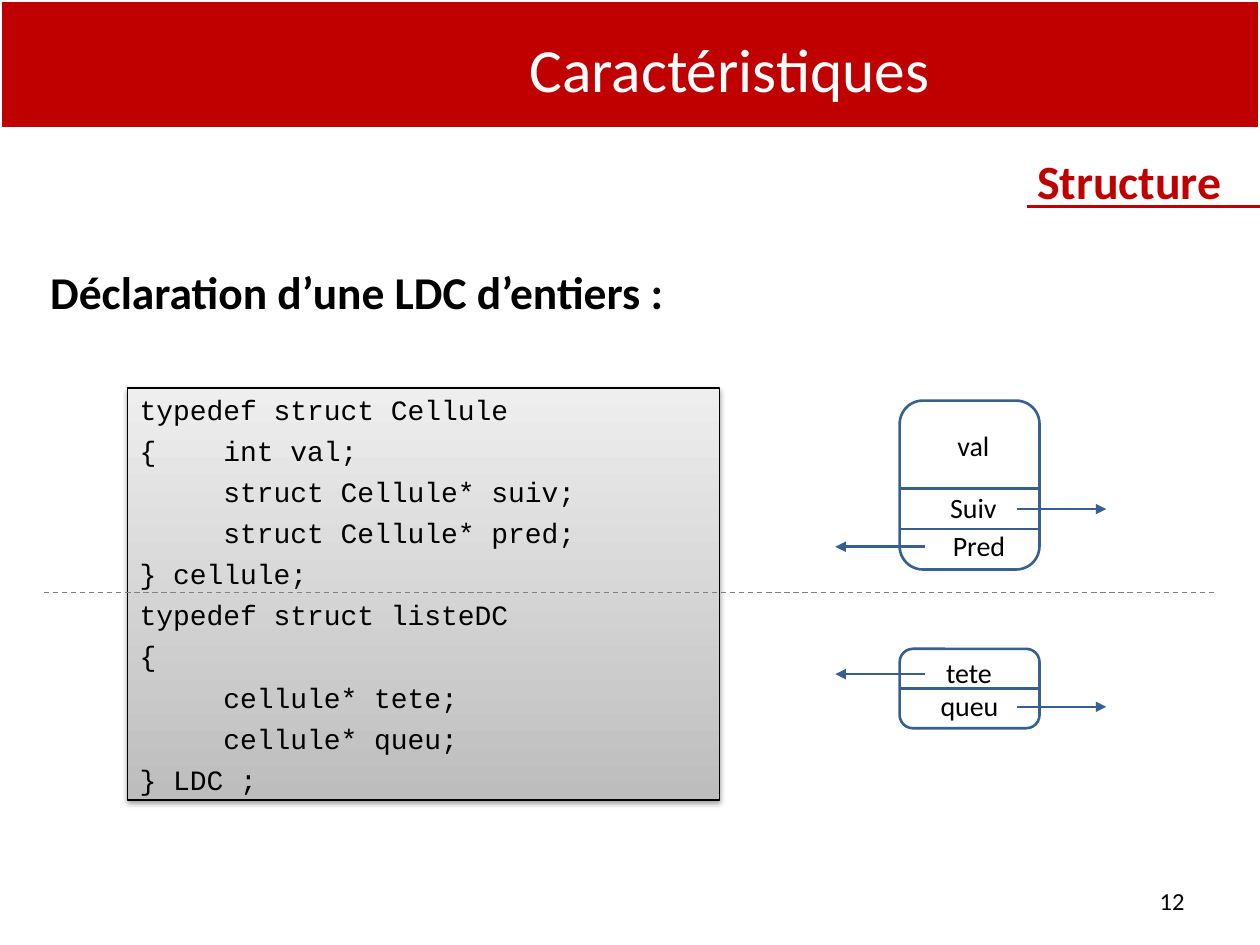
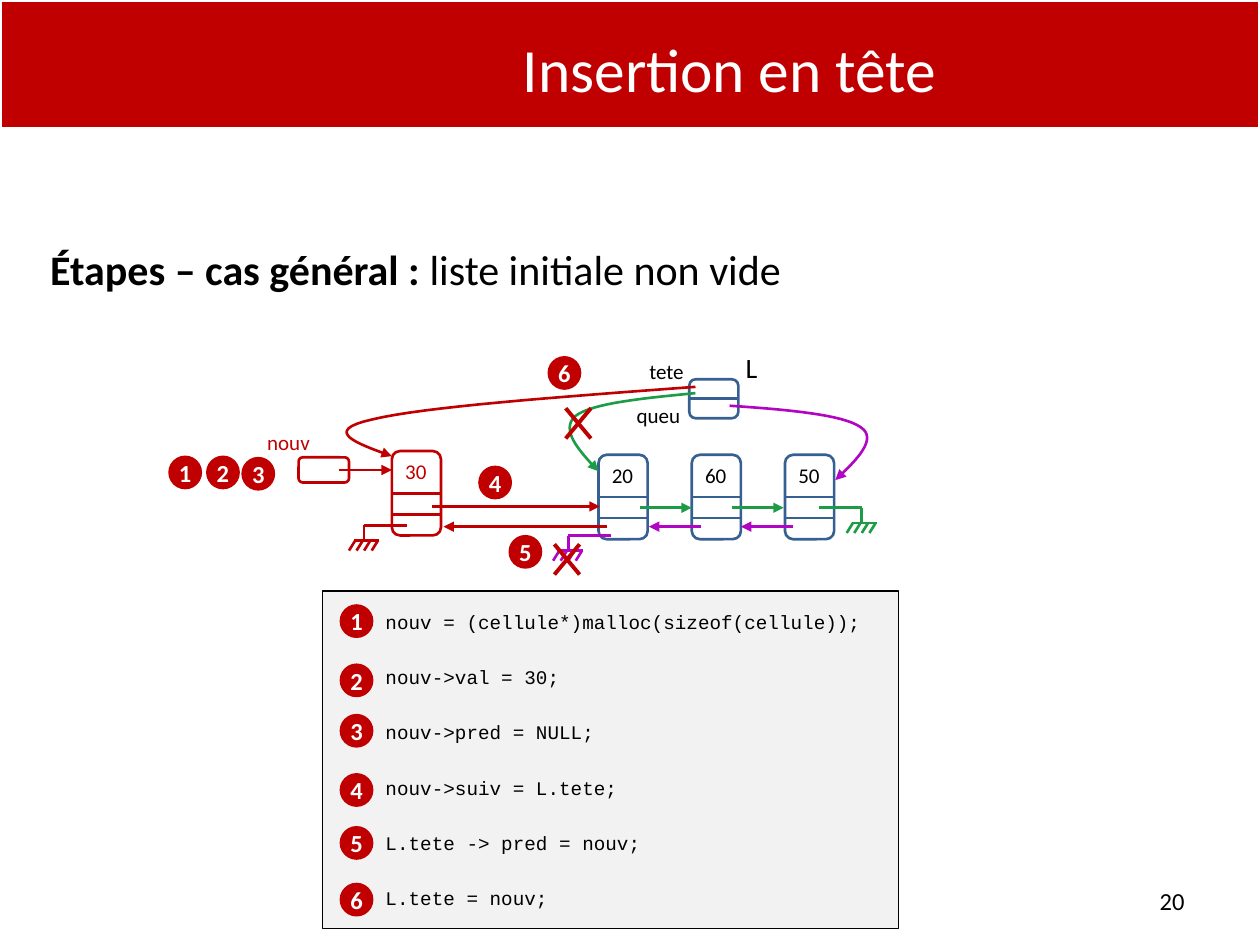
"""Build two slides on doubly linked lists: structure and head insertion."""
from lxml import etree
from pptx import Presentation
from pptx.dml.color import RGBColor
from pptx.enum.dml import MSO_LINE
from pptx.enum.shapes import MSO_CONNECTOR, MSO_SHAPE
from pptx.enum.text import MSO_ANCHOR, PP_ALIGN
from pptx.oxml.ns import qn
from pptx.util import Inches, Pt

RECT, ROUND, OVAL = MSO_SHAPE.RECTANGLE, MSO_SHAPE.ROUNDED_RECTANGLE, MSO_SHAPE.OVAL
STRAIGHT, DASH = MSO_CONNECTOR.STRAIGHT, MSO_LINE.DASH
MIDDLE = MSO_ANCHOR.MIDDLE
LEFT, CENTER, RIGHT = PP_ALIGN.LEFT, PP_ALIGN.CENTER, PP_ALIGN.RIGHT
WIDTH, HEIGHT = Inches(10), Inches(7.5)
UNIT = WIDTH / 10
COLORS = {
    "red": "C00000", "blue": "376092", "green": "1C9C47", "purple": "B105C3",
    "white": "FFFFFF", "black": "000000", "gray": "808080", "panel": "F2F2F2",
    "dark": "BDBDBD", "light": "EEEEEE",
}
BODY, CODE = "Calibri", "Courier New"
CELL_W, CELL_H = 0.39, 0.67
BADGE = 0.24

STRUCT_CODE = [
    "typedef struct Cellule",
    "{    int val;",
    "     struct Cellule* suiv;",
    "     struct Cellule* pred;",
    "} cellule;",
    "typedef struct listeDC",
    "{",
    "     cellule* tete;",
    "     cellule* queu;",
    "} LDC ;",
]
INSERT_CODE = [
    "nouv = (cellule*)malloc(sizeof(cellule));",
    "nouv->val = 30;",
    "nouv->pred = NULL;",
    "nouv->suiv = L.tete;",
    "L.tete -> pred = nouv;",
    "L.tete = nouv;",
]


def grid(*values):
    """Convert grid columns or rows to whole EMU."""
    return [round(v * UNIT) for v in values]


def rgb(name):
    """Return a palette colour."""
    return RGBColor.from_string(COLORS[name])


def style(p, size, color="black", font=BODY, bold=False, align=LEFT):
    """Set the alignment and font of a paragraph."""
    p.alignment = align
    p.font.size, p.font.name, p.font.bold = Pt(size), font, bold
    p.font.color.rgb = rgb(color)


def add_arrow(sp):
    """Put a triangle at the end of a line."""
    ln = sp._element.spPr.find(qn("a:ln"))
    etree.SubElement(ln, qn("a:tailEnd"), type="triangle")


def box(s, kind, x, y, w, h, fill=None, line="black", weight=1.5):
    """Add a preset shape with an optional solid fill."""
    sp = s.shapes.add_shape(kind, *grid(x, y, w, h))
    sp.shadow.inherit = False
    if fill:
        sp.fill.solid()
        sp.fill.fore_color.rgb = rgb(fill)
    else:
        sp.fill.background()
    sp.line.color.rgb = rgb(line)
    sp.line.width = Pt(weight)
    return sp


def label(s, text, x, y, w, size, color="black", bold=False, align=CENTER, h=None):
    """Add one line of text, with a height that follows its size."""
    h = h or 0.1 + size * 0.017
    tf = s.shapes.add_textbox(*grid(x, y, w, h)).text_frame
    tf.word_wrap, tf.vertical_anchor = True, MIDDLE
    p = tf.paragraphs[0]
    p.text = text
    style(p, size, color, bold=bold, align=align)
    return p


def rule(s, x1, y1, x2, y2, color="blue", weight=1.5, arrow=False):
    """Add a straight line or arrow."""
    c = s.shapes.add_connector(STRAIGHT, *grid(x1, y1, x2, y2))
    c.line.color.rgb = rgb(color)
    c.line.width = Pt(weight)
    if arrow:
        add_arrow(c)
    etree.SubElement(c._element.spPr, qn("a:effectLst"))
    return c


def cell(s, x, y, w, h, dividers, color="blue"):
    """Add a rounded node split by dividers given as shares of its height."""
    sp = box(s, ROUND, x, y, w, h, line=color)
    for share in dividers:
        c = rule(s, x, y + share * h, x + w, y + share * h, color)
        if share == 0.5:
            c.begin_connect(sp, 1)
            c.end_connect(sp, 3)


def node(s, value, x, y, line="blue", color="black"):
    """Add a list node with its value, next and previous fields."""
    cell(s, x, y, CELL_W, CELL_H, (0.5, 0.75), line)
    label(s, value, x, y + 0.01, 0.38, 12, color)


def badge(s, number, x, y):
    """Add a numbered step disc."""
    sp = box(s, OVAL, x, y, BADGE, BADGE, "red", "red", 2)
    tf = sp.text_frame
    tf.margin_left = tf.margin_right = tf.margin_top = tf.margin_bottom = 0
    tf.word_wrap, tf.vertical_anchor = False, MIDDLE
    tf.text = str(number)
    style(tf.paragraphs[0], 14, "white", bold=True, align=CENTER)


def ground(s, start, corner, y, color):
    """Add the NULL symbol hanging from a field."""
    bar = y + 0.12
    rule(s, start, y, corner, y, color)
    rule(s, corner, y, corner, bar, color)
    rule(s, corner - 0.08, bar, corner + 0.12, bar, color)
    for i in range(4):
        x = corner - 0.07 + i * 0.06
        rule(s, x, bar, x - 0.05, bar + 0.08, color)


def cross(s, x, y):
    """Strike out a removed link."""
    rule(s, x, y, x + 0.2, y + 0.24, "red", 2.25)
    rule(s, x + 0.2, y, x, y + 0.24, "red", 2.25)


def curve(s, points, color, steps=16):
    """Add an arrow along chained cubic curves."""
    path = []
    for k in range(0, len(points) - 1, 3):
        for i in range(1, steps + 1):
            t = i / steps
            weights = ((1 - t) ** 3, 3 * t * (1 - t) ** 2, 3 * t * t * (1 - t), t ** 3)
            path.append(grid(*(
                sum(f * pt[axis] for f, pt in zip(weights, points[k:k + 4]))
                for axis in (0, 1))))
    fb = s.shapes.build_freeform(*grid(*points[0]), scale=1.0)
    fb.add_line_segments(path, close=False)
    sp = fb.convert_to_shape()
    sp.shadow.inherit = False
    sp.fill.background()
    sp.line.color.rgb = rgb(color)
    sp.line.width = Pt(1.5)
    add_arrow(sp)


def code(sp, lines, size, gap, indent=0):
    """Fill a shape with lines of code."""
    tf = sp.text_frame
    tf.word_wrap, tf.vertical_anchor = True, MIDDLE
    tf.margin_left = Inches(0.1 + indent)
    for i, line in enumerate(lines):
        p = tf.add_paragraph() if i else tf.paragraphs[0]
        p.text = line
        style(p, size, font=CODE)
        if i:
            p.space_before = Pt(gap)


def shade(sp):
    """Give a shape a vertical gray gradient and a soft shadow."""
    sp.fill.gradient()
    sp.fill.gradient_angle = 90
    for stop, name in zip(sp.fill.gradient_stops, ("dark", "light")):
        stop.color.rgb = rgb(name)
    effects = sp._element.spPr.find(qn("a:effectLst"))
    shadow = etree.SubElement(effects, qn("a:outerShdw"), blurRad=str(Pt(3.1)),
                              dist=str(Pt(1.6)), dir="5400000", rotWithShape="0")
    tone = etree.SubElement(shadow, qn("a:srgbClr"), val=COLORS["black"])
    etree.SubElement(tone, qn("a:alpha"), val="38000")


def new_slide(prs, title, number):
    """Add a slide with the shared title band and page number."""
    s = prs.slides.add_slide(prs.slide_layouts[6])
    box(s, RECT, 0, 0, 10, 1.02, "red", "white", 2)
    label(s, title, 2.17, 0.19, 7.24, 35.1, "white", h=0.69)
    label(s, str(number), 7.17, 6.95, 2.33, 14, align=RIGHT, h=0.4)
    return s


def structure_slide(prs):
    """Show the declaration of the list types beside their drawings."""
    s = new_slide(prs, "Caractéristiques", 12)
    label(s, "Structure", 2.64, 1.09, 7.15, 27.3, "red", True, RIGHT, 0.69)
    rule(s, 8.15, 1.64, 10, 1.64, "red")
    label(s, "Déclaration d’une LDC d’entiers :", 0.3, 2.04, 9.35, 26, bold=True, align=LEFT)

    cell(s, 7.14, 3.18, 1.11, 1.34, (0.52, 0.76))
    cell(s, 7.14, 5.15, 1.11, 0.63, (0.5,))
    for text, x, y, w in (("val", 7.19, 3.35, 1.07), ("Suiv", 7.24, 3.84, 0.97),
                          ("Pred", 7.2, 4.14, 1.14), ("tete", 7.12, 5.15, 1.14),
                          ("queu", 7.21, 5.41, 0.97)):
        label(s, text, x, y, w, 16)
    for y in (4.04, 5.61):
        rule(s, 8.07, y, 8.78, y, arrow=True)
    for y in (4.34, 5.35):
        rule(s, 7.34, y, 6.63, y, arrow=True)

    panel = box(s, RECT, 1.01, 3.08, 4.7, 3.27, weight=0.75)
    shade(panel)
    code(panel, STRUCT_CODE, 16, 4.3)
    rule(s, 0.35, 4.7, 9.64, 4.7, "gray", 0.75).line.dash_style = DASH


def insertion_slide(prs):
    """Show the steps of inserting a node at the head of a list."""
    s = new_slide(prs, "Insertion en tête", 20)
    p = label(s, "", 0.3, 1.88, 9.35, 24, align=LEFT)
    for text, bold in (("Étapes – cas général : ", True), ("liste initiale non vide", False)):
        r = p.add_run()
        r.text, r.font.bold = text, bold

    code(box(s, RECT, 2.56, 4.69, 4.57, 2.68, "panel", weight=0.75),
         INSERT_CODE, 11, 18.3, indent=0.4)
    for number, y in enumerate((4.81, 5.28, 5.68, 6.15, 6.57, 7.02), 1):
        badge(s, number, 2.71, y)

    for i, value in enumerate(("20", "60", "50")):
        node(s, value, 4.75 + i * 0.74, 3.61)
    for x in (5.08, 5.81):
        rule(s, x, 4.03, x + 0.41, 4.03, "green", arrow=True)
        rule(s, x + 0.48, 4.18, x + 0.07, 4.18, "purple", arrow=True)
    ground(s, 4.85, 4.51, 4.25, "purple")
    ground(s, 6.5, 6.84, 4.03, "green")

    cell(s, 5.47, 3.01, CELL_W, 0.31, (0.5,))
    label(s, "tete", 4.79, 2.79, 1, 12)
    label(s, "queu", 4.8, 3.14, 0.85, 12)
    label(s, "L", 5.78, 2.73, 0.37, 16)
    curve(s, [(5.52, 3.12), (5.11, 3.16), (4.7, 3.2), (4.57, 3.3),
              (4.44, 3.41), (4.6, 3.58), (4.75, 3.74)], "green")
    curve(s, [(5.79, 3.22), (6.24, 3.25), (6.69, 3.29), (6.83, 3.39),
              (6.97, 3.48), (6.8, 3.65), (6.63, 3.81)], "purple")

    node(s, "30", 3.11, 3.58, "red", "red")
    ground(s, 3.23, 2.89, 4.17, "red")
    cell(s, 2.37, 3.63, 0.4, 0.2, (), "red")
    label(s, "nouv", 2.01, 3.36, 0.56, 12, "red")
    for x1, x2, y in ((2.69, 3.11, 3.73), (3.43, 4.76, 4.02), (4.82, 3.52, 4.18)):
        rule(s, x1, y, x2, y, "red", arrow=True)
    curve(s, [(5.52, 3.07), (4.44, 3.15), (3.35, 3.23), (2.95, 3.33),
              (2.55, 3.42), (2.83, 3.52), (3.11, 3.62)], "red")
    cross(s, 4.4, 4.32)
    cross(s, 4.49, 3.24)
    steps = ((1.35, 3.63), (1.65, 3.63), (1.93, 3.64), (3.81, 3.71), (4.05, 4.26), (4.36, 2.84))
    for number, (x, y) in enumerate(steps, 1):
        badge(s, number, x, y)


def main():
    """Build and save the presentation."""
    prs = Presentation()
    prs.slide_width, prs.slide_height = WIDTH, HEIGHT
    structure_slide(prs)
    insertion_slide(prs)
    prs.save("out.pptx")


if __name__ == "__main__":
    main()
